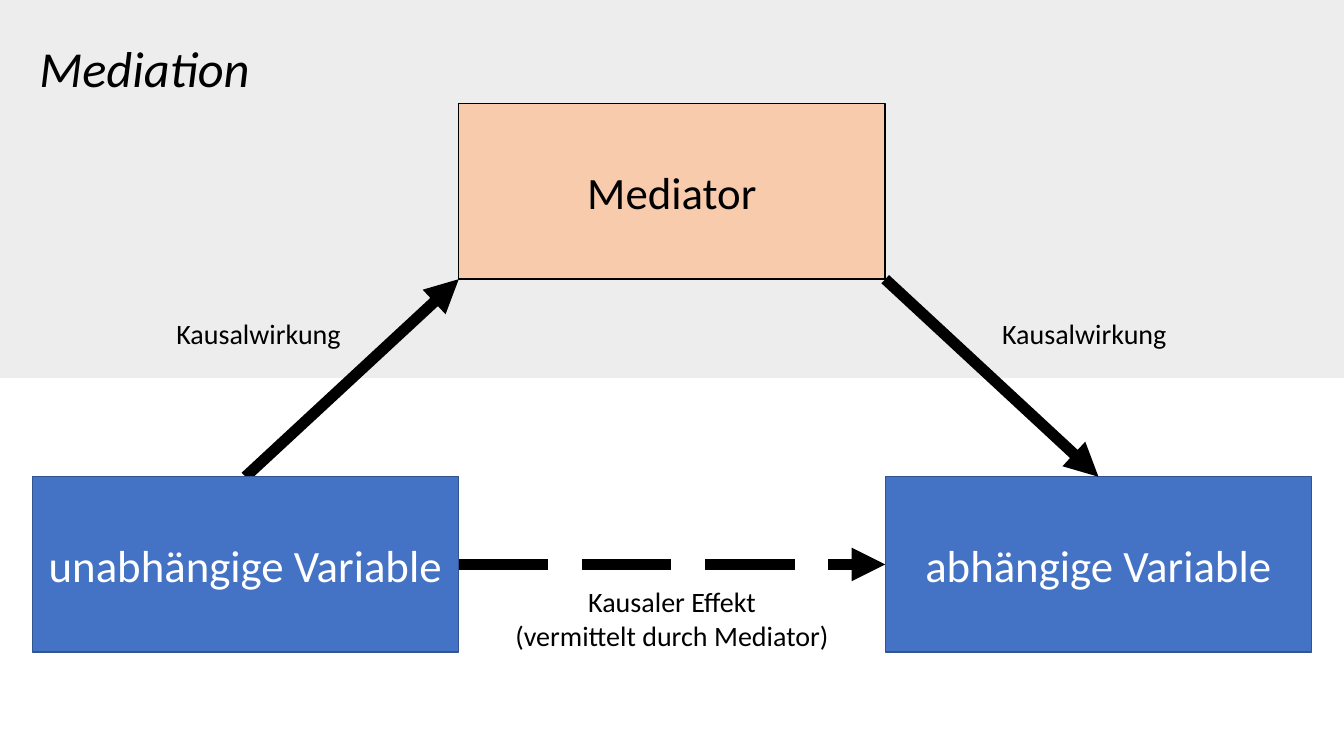
from lxml import etree
from pptx import Presentation
from pptx.dml.color import RGBColor
from pptx.enum.dml import MSO_LINE
from pptx.enum.shapes import MSO_CONNECTOR, MSO_SHAPE
from pptx.enum.text import MSO_ANCHOR, MSO_AUTO_SIZE, PP_ALIGN
from pptx.oxml.ns import qn
from pptx.util import Inches, Pt

RECTANGLE = MSO_SHAPE.RECTANGLE
STRAIGHT = MSO_CONNECTOR.STRAIGHT
LONG_DASH = MSO_LINE.LONG_DASH
TOP, MIDDLE = MSO_ANCHOR.TOP, MSO_ANCHOR.MIDDLE
LEFT, CENTER = PP_ALIGN.LEFT, PP_ALIGN.CENTER
NO_AUTO_SIZE = MSO_AUTO_SIZE.NONE

TITLE_ONLY = 5
FONT = "Calibri"
BLACK, WHITE = "000000", "FFFFFF"
GREY, BLUE, DARK_BLUE, PEACH = "EDEDED", "4472C4", "325491", "F8CBAD"

# Grid: three equal columns between the side margins, two rows of boxes
WIDTH, HEIGHT = 13.33, 7.5
MARGIN = 0.32
COLUMN = (WIDTH - 2 * MARGIN) / 3
BOX_HEIGHT = 1.74
UPPER, LOWER = 1.03, 4.73


def color(value):
    return RGBColor.from_string(value)


def column_x(column):
    return MARGIN + column * COLUMN


def write(shape, text, size, ink, align, anchor, wrap, italic=False):
    frame = shape.text_frame
    frame.text = text
    frame.auto_size = NO_AUTO_SIZE
    frame.word_wrap = wrap
    frame.vertical_anchor = anchor
    for para in frame.paragraphs:
        para.alignment = align
        for span in para.runs:
            span.font.name = FONT
            span.font.size = Pt(size)
            span.font.italic = italic
            span.font.color.rgb = color(ink)


def add_rectangle(slide, x, y, width, height, fill, outline=None):
    box = slide.shapes.add_shape(
        RECTANGLE, Inches(x), Inches(y), Inches(width), Inches(height))
    box.shadow.inherit = False
    box.fill.solid()
    box.fill.fore_color.rgb = color(fill)
    if outline:
        box.line.color.rgb = color(outline)
        box.line.width = Pt(1)
    else:
        box.line.fill.background()
    return box


def add_variable(slide, column, y, text, fill, outline, ink):
    box = add_rectangle(slide, column_x(column), y, COLUMN, BOX_HEIGHT, fill, outline)
    write(box, text, 32, ink, CENTER, MIDDLE, True)


def add_arrow(slide, start, end, dash=None):
    arrow = slide.shapes.add_connector(
        STRAIGHT, *[Inches(value) for value in (*start, *end)])
    arrow.line.color.rgb = color(BLACK)
    arrow.line.width = Pt(8)
    if dash:
        arrow.line.dash_style = dash
    properties = arrow.element.spPr
    etree.SubElement(properties.find(qn("a:ln")), qn("a:tailEnd"), type="triangle")
    etree.SubElement(properties, qn("a:effectLst"))


def add_label(slide, x, y, width, height, text, align=LEFT):
    label = slide.shapes.add_textbox(
        Inches(x), Inches(y), Inches(width), Inches(height))
    write(label, text, 20, BLACK, align, TOP, False)


def set_title(slide, text):
    title = slide.shapes.title
    title.left, title.top = Inches(0.29), Inches(0.32)
    title.width, title.height = Inches(2.31), Inches(0.71)
    write(title, text, 36, BLACK, LEFT, TOP, False, italic=True)
    return title


def main():
    deck = Presentation()
    deck.slide_width, deck.slide_height = Inches(WIDTH), Inches(HEIGHT)
    slide = deck.slides.add_slide(deck.slide_layouts[TITLE_ONLY])

    # Grey upper half, placed behind the title
    title = set_title(slide, "Mediation")
    band = add_rectangle(slide, 0, 0, WIDTH, HEIGHT / 2, GREY)
    title.element.addprevious(band.element)

    # Arrows and boxes, layered so that the boxes cover the blunt ends
    mediator_bottom = UPPER + BOX_HEIGHT
    effect_y = LOWER + BOX_HEIGHT / 2
    add_variable(slide, 2, LOWER, "abhängige Variable", BLUE, DARK_BLUE, WHITE)
    add_arrow(slide, (column_x(2), mediator_bottom), (column_x(2.5), LOWER))
    add_variable(slide, 1, UPPER, "Mediator", PEACH, BLACK, BLACK)
    add_arrow(slide, (column_x(1), effect_y), (column_x(2), effect_y), LONG_DASH)
    add_arrow(slide, (column_x(0.5), LOWER), (column_x(1), mediator_bottom))
    add_variable(slide, 0, LOWER, "unabhängige Variable", BLUE, DARK_BLUE, WHITE)

    # Arrow labels
    for x in (1.65, 9.84):
        add_label(slide, x, 3.09, 1.85, 0.44, "Kausalwirkung")
    add_label(slide, 4.99, 5.75, 3.35, 0.77,
              "Kausaler Effekt\n(vermittelt durch Mediator)", CENTER)

    deck.save("out.pptx")


main()
